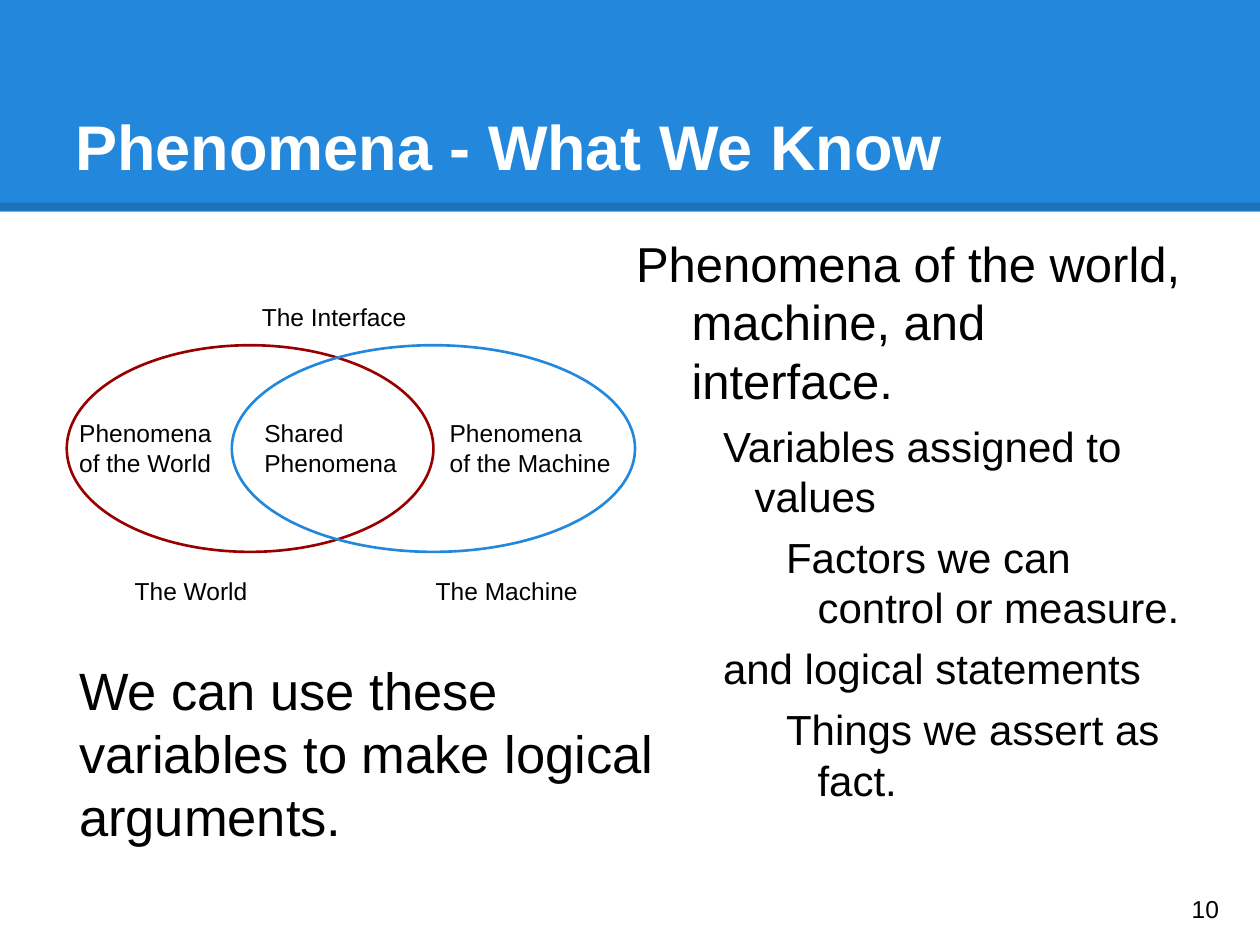
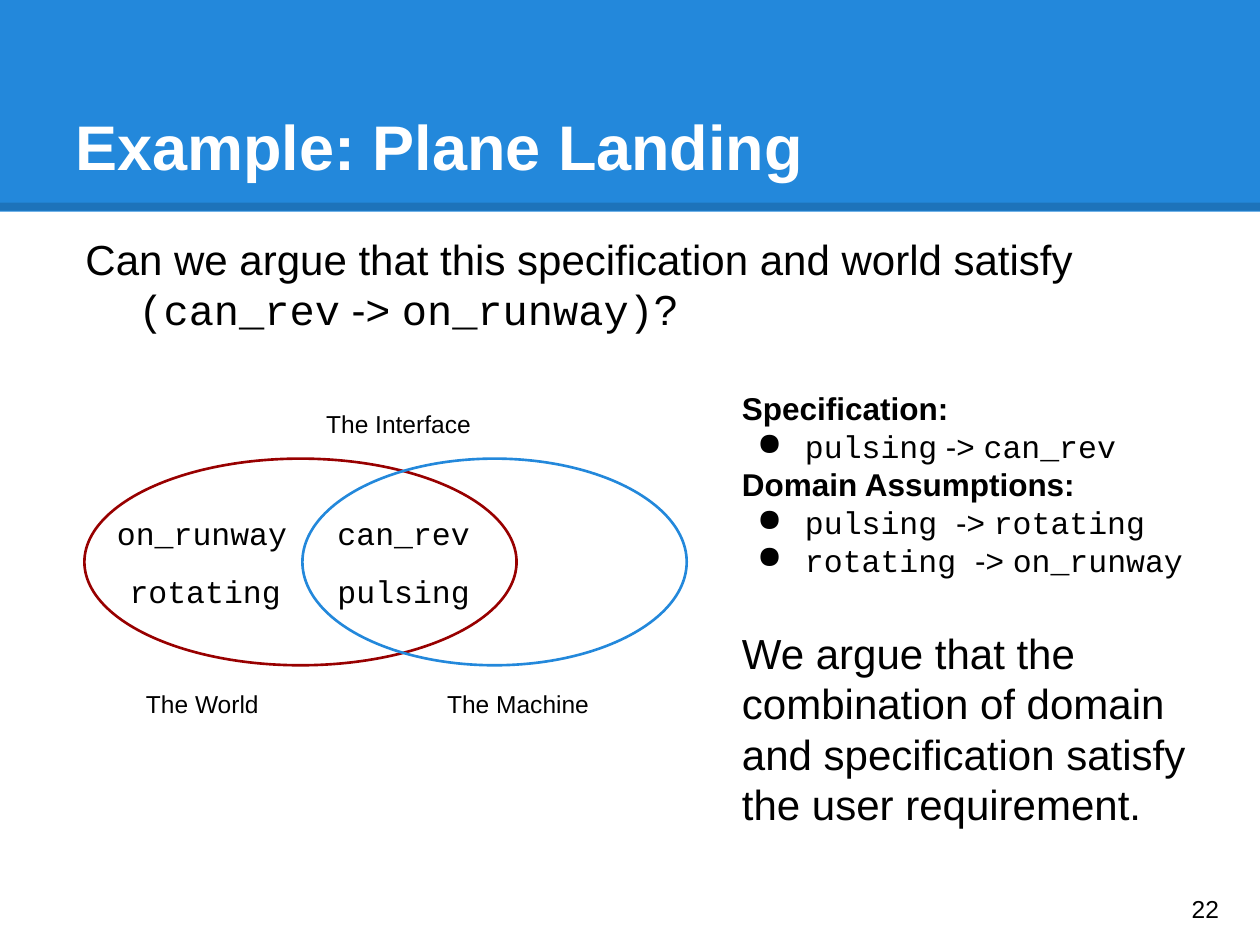
from lxml.etree import SubElement
from pptx import Presentation
from pptx.dml.color import RGBColor
from pptx.enum.shapes import MSO_CONNECTOR, MSO_SHAPE
from pptx.enum.text import MSO_ANCHOR
from pptx.oxml.ns import qn
from pptx.util import Inches, Pt

COLS, ROWS = 10, 7.5  # the grid has one-inch cells
BLACK, WHITE = "000000", "FFFFFF"
BLUE, RED = "2388DB", "980000"
SANS, MONO = "Arial", "Courier New"
BAND_HEIGHT, RULE_Y = 1.68, 1.64
LABEL_HEIGHT, OVAL_HEIGHT = 0.44, 1.64


def color(hex_string):
    return RGBColor.from_string(hex_string)


def grid(*cells):
    return [Inches(c) for c in cells]


def run(text, font=SANS, bold=False):
    return text, font, bold


def para(*runs, size=14, left=0, hang=0, before=0, bullet=None):
    """Describe a paragraph; plain strings become runs in the sans font."""
    runs = [run(r) if isinstance(r, str) else r for r in runs]
    return dict(runs=runs, size=size, left=left, hang=hang, before=before, bullet=bullet)


def fill_paragraph(p, para_def, ink):
    pPr = p._p.get_or_add_pPr()
    pPr.set("marL", str(Inches(para_def["left"])))
    pPr.set("indent", str(-Inches(para_def["hang"])))
    if para_def["bullet"]:
        SubElement(pPr, qn("a:buChar")).set("char", para_def["bullet"])
    p.space_before = Pt(para_def["before"])
    for text, font, bold in para_def["runs"]:
        r = p.add_run()
        r.text = text
        r.font.name, r.font.bold = font, bold
        r.font.size = Pt(para_def["size"])
        r.font.color.rgb = color(ink)


def add_text(s, at, *paras, ink=BLACK, anchor=MSO_ANCHOR.TOP):
    tf = s.shapes.add_textbox(*grid(*at)).text_frame
    tf.word_wrap = True
    tf.vertical_anchor = anchor
    tf.margin_left = tf.margin_right = tf.margin_top = tf.margin_bottom = Inches(0.1)
    for i, para_def in enumerate(paras):
        p = tf.add_paragraph() if i else tf.paragraphs[0]
        fill_paragraph(p, para_def, ink)


def add_label(s, x, y, width, *lines, height=LABEL_HEIGHT):
    add_text(s, (x, y, width, height), *[para(line) for line in lines])


def add_term(s, x, y, width, term):
    add_text(s, (x, y, width, 0.3), para(run(term, MONO), size=18))


def add_band(s):
    sp = s.shapes.add_shape(MSO_SHAPE.RECTANGLE, *grid(0, 0, COLS, BAND_HEIGHT))
    sp.shadow.inherit = False
    sp.fill.solid()
    sp.fill.fore_color.rgb = color(BLUE)
    sp.line.fill.background()


def add_rule(s):
    """Draw the translucent dark line along the foot of the band."""
    rule = s.shapes.add_connector(MSO_CONNECTOR.STRAIGHT, *grid(0, RULE_Y, COLS, RULE_Y))
    rule.line.width = Pt(4.5)
    rule.line.color.rgb = color(BLACK)
    spPr = rule._element.spPr
    ink = spPr.find(".//" + qn("a:srgbClr"))
    SubElement(ink, qn("a:alpha")).set("val", "15000")
    SubElement(spPr, qn("a:effectLst"))


def add_slide(prs, title, number):
    s = prs.slides.add_slide(prs.slide_layouts[6])
    add_band(s)
    add_rule(s)
    add_text(s, (0.5, 0.3, COLS - 1, 1.25), para(run(title, bold=True), size=36),
             ink=WHITE, anchor=MSO_ANCHOR.BOTTOM)
    add_text(s, (9.36, ROWS - 0.57, 0.6, 0.57), para(number), anchor=MSO_ANCHOR.MIDDLE)
    return s


def add_oval(s, x, y, width, outline):
    sp = s.shapes.add_shape(MSO_SHAPE.OVAL, *grid(x, y, width, OVAL_HEIGHT))
    sp.shadow.inherit = False
    sp.fill.background()
    sp.line.color.rgb = color(outline)
    sp.line.width = Pt(1.5)


def add_venn(s, y, world, machine, world_label_x, interface_at):
    """Draw the overlapping world and machine ovals, each given as (left, width)."""
    add_oval(s, world[0], y, world[1], RED)
    add_oval(s, machine[0], y, machine[1], BLUE)
    label_y = y + OVAL_HEIGHT + 0.09
    add_label(s, world_label_x, label_y, 1.28, "The World")
    add_label(s, world_label_x + 2.39, label_y, 1.42, "The Machine")
    add_label(s, *interface_at, 1.45, "The Interface")


def build_phenomena(prs):
    s = add_slide(prs, "Phenomena - What We Know", "10")

    def point(text, level):
        return para(text, size=24, left=0.5 + level / 2, hang=0.25, before=6)

    add_text(s, (4.89, 1.75, 4.61, 1.43),
             para("Phenomena of the world, machine, and interface.",
                  size=28, left=0.5, hang=0.44),
             point("Variables assigned to values", 1),
             point("Factors we can control or measure.", 2),
             point("and logical statements", 1),
             point("Things we assert as fact.", 2))
    add_venn(s, 2.74, (0.53, 2.91), (1.84, 3.2), 0.97, (1.98, 2.3))
    region_y = 3.22
    add_label(s, 0.53, region_y, 1.42, "Phenomena of the World")
    add_label(s, 2, region_y, 1.42, "Shared Phenomena")
    add_label(s, 3.47, region_y, 1.65, "Phenomena", "of the Machine")
    add_text(s, (0.53, 5.12, 4.94, 1.54),
             para("We can use these variables to make logical arguments.", size=30))


def build_plane_landing(prs):
    s = add_slide(prs, "Example: Plane Landing", "22")
    add_text(s, (0.5, 1.75, 9, 1.15),
             para("Can we argue that this specification and world satisfy",
                  run(" (can_rev", MONO), " -> ", run("on_runway)", MONO), "?",
                  size=24, left=0.5, hang=0.42))

    def heading(text):
        return para(run(text, bold=True), size=18)

    def implication(cause, arrow, effect):
        return para(run(cause, MONO), arrow, run(effect, MONO),
                    size=18, left=0.5, hang=0.38, bullet="●")

    add_text(s, (5.79, 2.99, 3.72, 1.4),
             heading("Specification:"),
             implication("pulsing", " -> ", "can_rev"),
             heading("Domain Assumptions:"),
             implication("pulsing ", "-> ", "rotating"),
             implication("rotating ", "-> ", "on_runway"),
             para("We argue that the combination of domain and specification "
                  "satisfy the user requirement.", size=24, before=28))
    add_venn(s, 3.64, (0.67, 3.43), (2.4, 3.05), 1.06, (2.49, 3.15))
    upper, lower = 3.98, 4.44
    add_term(s, 0.83, upper, 1.74, "on_runway")
    add_term(s, 0.93, lower, 1.54, "rotating")
    add_term(s, 2.58, upper, 1.28, "can_rev")
    add_term(s, 2.58, lower, 1.28, "pulsing")


def main():
    prs = Presentation()
    prs.slide_width, prs.slide_height = grid(COLS, ROWS)
    build_phenomena(prs)
    build_plane_landing(prs)
    prs.save("out.pptx")


if __name__ == "__main__":
    main()
